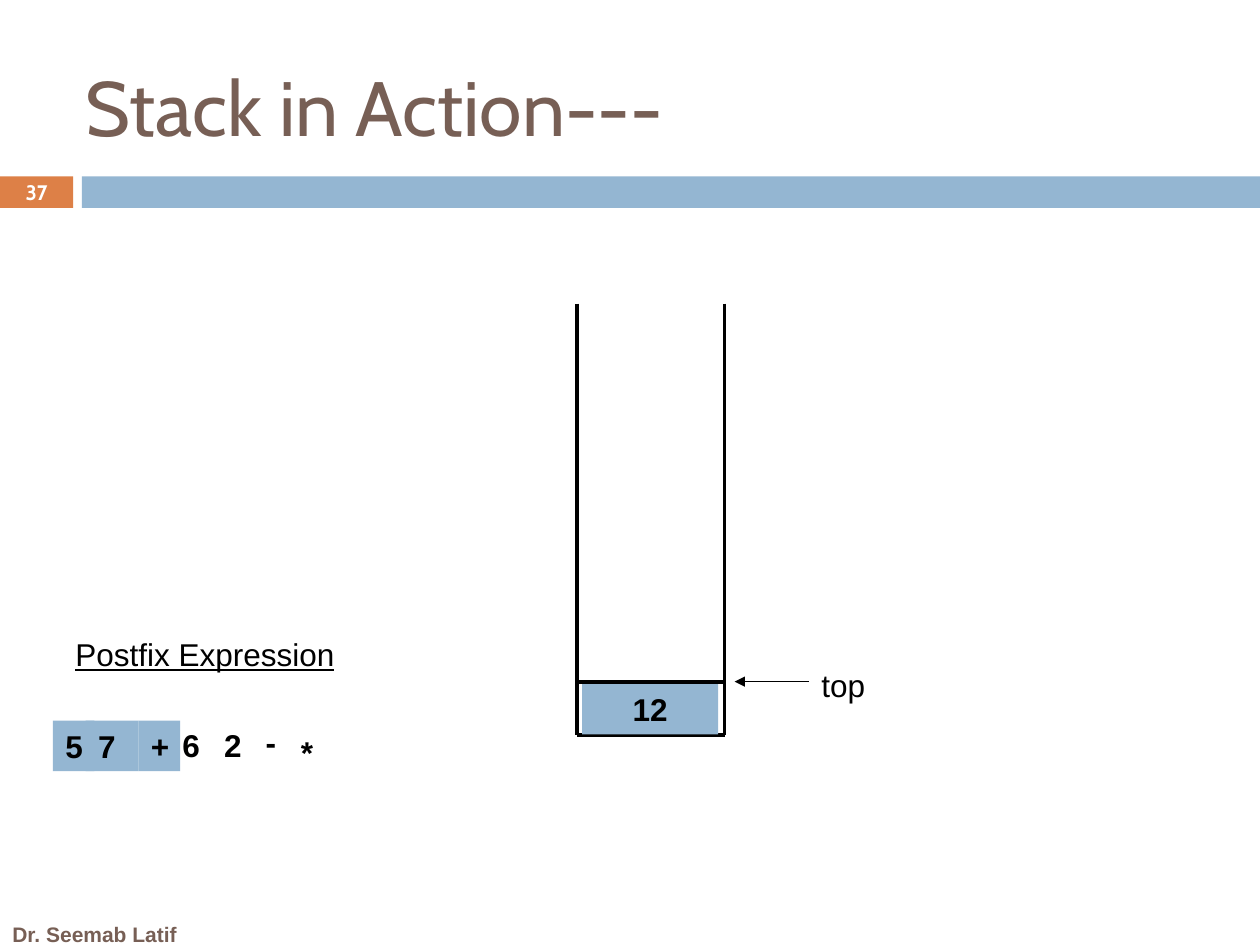
from dataclasses import dataclass
from typing import Optional

from lxml import etree
from pptx import Presentation
from pptx.dml.color import RGBColor
from pptx.enum import shapes, text
from pptx.oxml.ns import qn
from pptx.util import Inches, Pt

BLACK = RGBColor(0x00, 0x00, 0x00)
WHITE = RGBColor(0xFF, 0xFF, 0xFF)
BROWN = RGBColor(0x77, 0x5F, 0x55)
ORANGE = RGBColor(0xDD, 0x80, 0x47)
BLUE = RGBColor(0x94, 0xB6, 0xD2)

LABEL = {"name": "Arial", "size": Pt(18)}
BOLD_LABEL = {**LABEL, "bold": True}
CENTER = text.PP_ALIGN.CENTER
TOP, MIDDLE = text.MSO_ANCHOR.TOP, text.MSO_ANCHOR.MIDDLE

STACK_LEFT, STACK_RIGHT = 4.58, 5.75
STACK_OPENING, STACK_TOP, STACK_FLOOR = 2.41, 5.41, 5.83
ROW_HEIGHT = 0.4


@dataclass
class Box:
    left: float
    top: float
    width: float
    height: float = ROW_HEIGHT
    wording: str = ""
    fill: Optional[RGBColor] = None


@dataclass
class Line:
    start: tuple[float, float]
    end: tuple[float, float]
    width: float = 2.25
    arrow: bool = False


def write(shape, wording: str, style: dict, color: RGBColor = BLACK,
          align=text.PP_ALIGN.LEFT, anchor=TOP) -> None:
    frame = shape.text_frame
    frame.text = wording
    frame.word_wrap = True
    frame.auto_size = text.MSO_AUTO_SIZE.NONE
    frame.vertical_anchor = anchor
    paragraph = frame.paragraphs[0]
    paragraph.alignment = align
    for name, value in style.items():
        setattr(paragraph.font, name, value)
    paragraph.font.color.rgb = color


def draw_box(slide, box: Box, style: dict = BOLD_LABEL, **text_format) -> None:
    """Draw a filled rectangle, or a text box when there is no fill."""
    place = [Inches(v) for v in (box.left, box.top, box.width, box.height)]
    if box.fill is None:
        shape = slide.shapes.add_textbox(*place)
    else:
        shape = slide.shapes.add_shape(shapes.MSO_SHAPE.RECTANGLE, *place)
        shape.shadow.inherit = False
        shape.fill.solid()
        shape.fill.fore_color.rgb = box.fill
        shape.line.fill.background()
    if box.wording:
        write(shape, box.wording, style, **text_format)


def draw_line(slide, line: Line) -> None:
    ends = [Inches(v) for v in (*line.start, *line.end)]
    connector = slide.shapes.add_connector(shapes.MSO_CONNECTOR.STRAIGHT, *ends)
    connector.line.color.rgb = BLACK
    connector.line.width = Pt(line.width)
    if line.arrow:
        etree.SubElement(connector.line._get_or_add_ln(), qn("a:tailEnd"), type="triangle")
    etree.SubElement(connector._element.spPr, qn("a:effectLst"))


def add_title(slide) -> None:
    title = slide.shapes.title
    place = {"left": 0.58, "top": 0.42, "width": 6.58, "height": 0.84}
    for name, value in place.items():
        setattr(title, name, Inches(value))
    write(title, "Stack in Action---", {"name": "Cabin", "size": Pt(44)}, BROWN)


def add_frame(slide) -> None:
    """Draw the band under the title, the slide number and the footer."""
    draw_box(slide, Box(0, 1.4, 0.58, 0.25, "37", ORANGE),
             {"name": "Cabin", "size": Pt(12), "bold": True},
             color=WHITE, align=CENTER, anchor=MIDDLE)
    draw_box(slide, Box(0.65, 1.4, 9.35, 0.25, fill=BLUE))
    draw_box(slide, Box(0, 7.25, 1.83, 0.32, "Dr. Seemab Latif"),
             {"name": "Arial", "size": Pt(12), "bold": True},
             color=BROWN, anchor=MIDDLE)


def add_stack(slide) -> None:
    for x in (STACK_LEFT, STACK_RIGHT):
        draw_line(slide, Line((x, STACK_OPENING), (x, STACK_FLOOR)))
    for y in (STACK_FLOOR, STACK_TOP):
        draw_line(slide, Line((STACK_LEFT, y), (STACK_RIGHT, y)))
    draw_box(slide, Box(4.62, 5.43, 1.08, wording="12", fill=BLUE), align=CENTER)
    draw_box(slide, Box(6.42, 5.24, 1.5, wording="top"), LABEL)
    draw_line(slide, Line((6.42, STACK_TOP), (5.83, STACK_TOP), 0.75, arrow=True))


def add_expression(slide) -> None:
    """Draw the postfix tokens; those already read are filled."""
    tokens = [
        Box(0.42, 5.72, 0.33, wording="5", fill=BLUE),
        Box(0.68, 5.72, 0.42, wording="7", fill=BLUE),
        Box(1.1, 5.72, 0.33, wording="+", fill=BLUE),
        Box(1.35, 5.71, 0.33, wording="6"),
        Box(1.68, 5.71, 0.42, wording="2"),
        Box(2.01, 5.69, 0.33, wording="-"),
        Box(2.29, 5.77, 0.42, wording="*"),
    ]
    for token in tokens:
        draw_box(slide, token)
    draw_box(slide, Box(0.5, 4.99, 2.75, wording="Postfix Expression"),
             {**LABEL, "underline": True})


def main() -> None:
    deck = Presentation()
    deck.slide_width, deck.slide_height = Inches(10), Inches(7.5)
    slide = deck.slides.add_slide(deck.slide_layouts.get_by_name("Title Only"))
    add_title(slide)
    add_frame(slide)
    add_stack(slide)
    add_expression(slide)
    deck.save("out.pptx")


if __name__ == "__main__":
    main()
